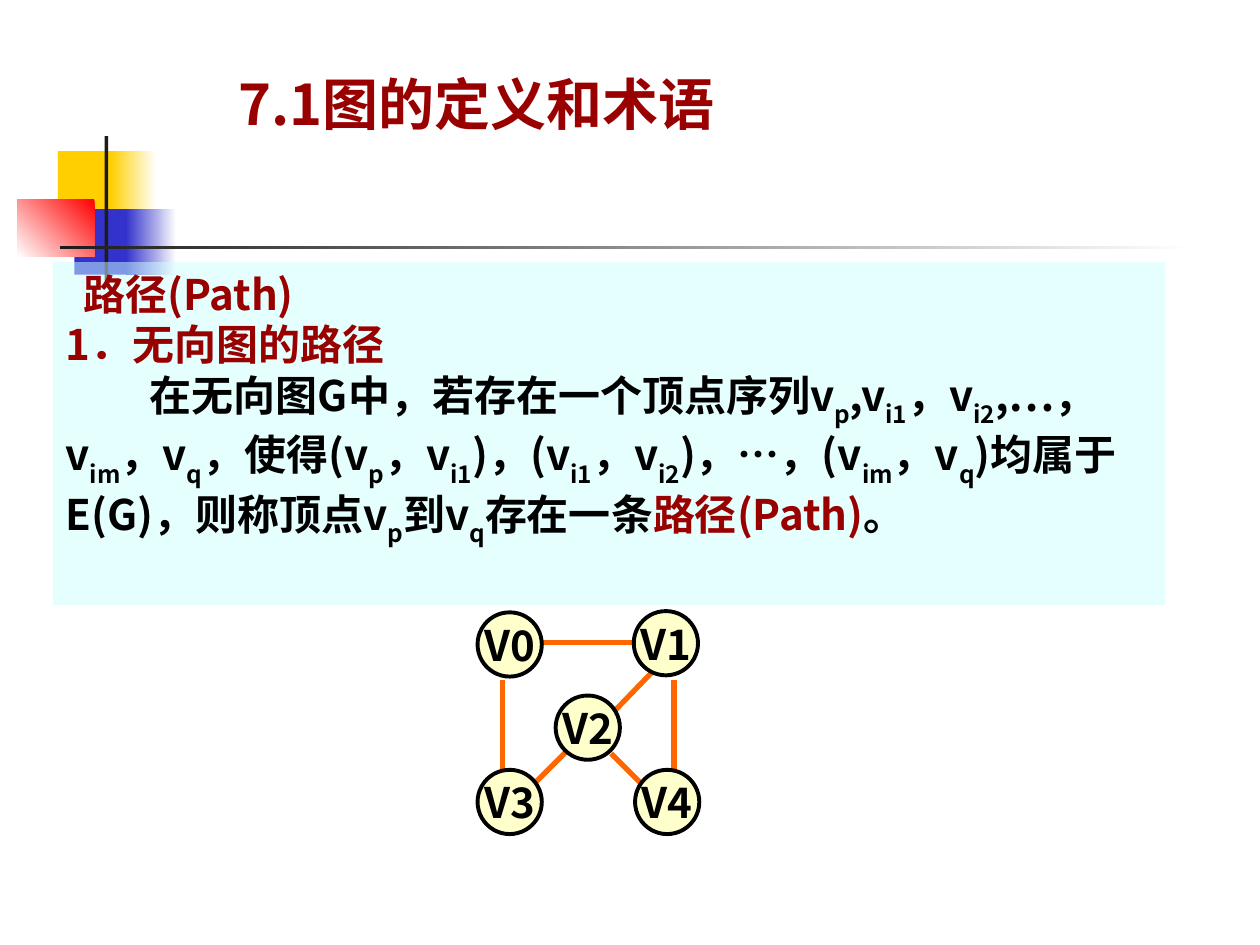
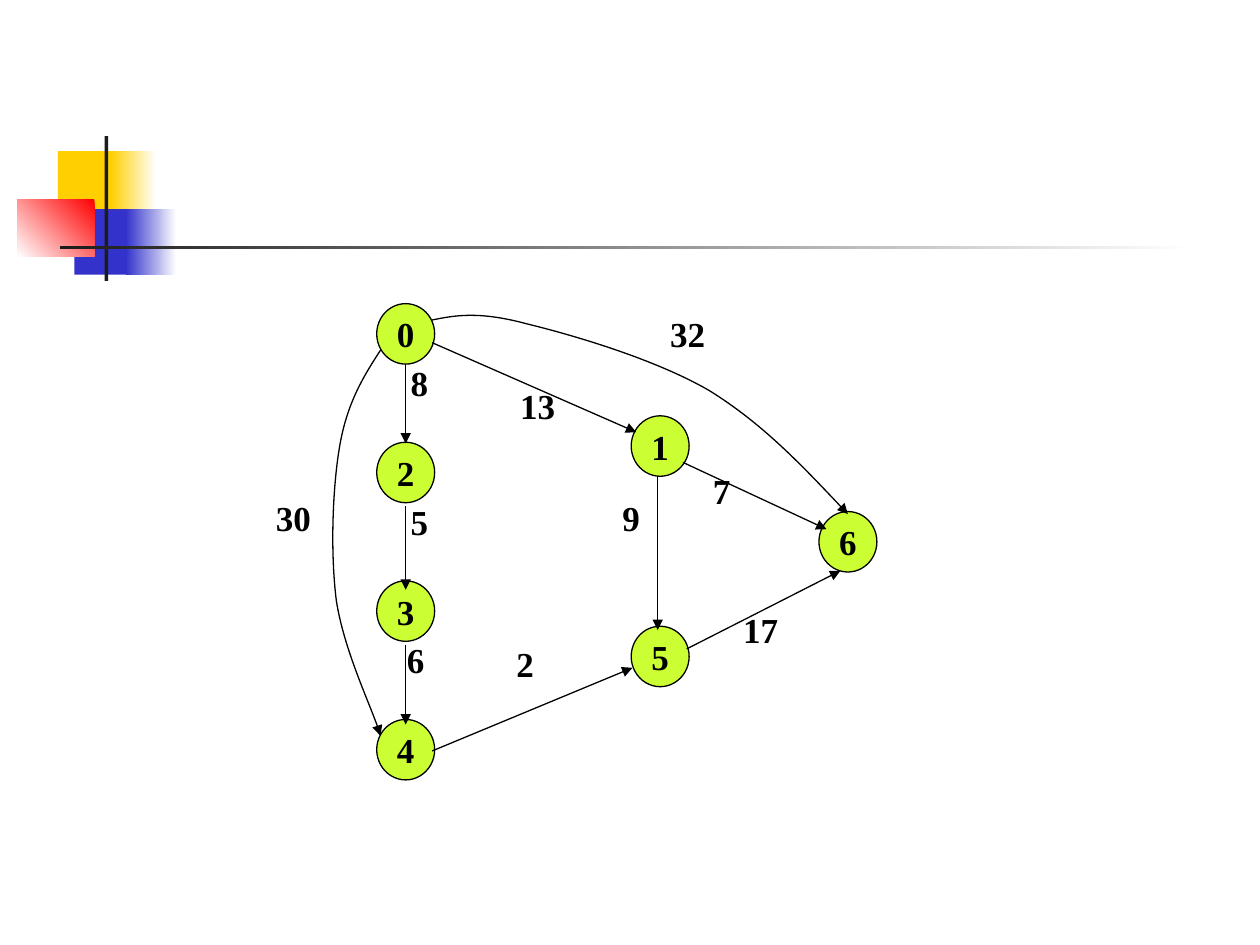
"""Two slides on graphs: paths in an undirected graph, and a weighted directed graph."""
from dataclasses import dataclass

from lxml import etree
from pptx import Presentation
from pptx import util as u
from pptx.dml.color import RGBColor
from pptx.enum import shapes, text
from pptx.oxml import ns

PX = 9144


@dataclass(frozen=True)
class Theme:
    """Colours, fonts and type sizes."""
    white: str = "FFFFFF"
    ink: str = "000000"
    accent: str = "990000"
    yellow: str = "FFCF01"
    blue: str = "3333CC"
    red: str = "FF0000"
    rule: str = "1C1C1C"
    panel: str = "CCFFFF"
    vertex: str = "FFFFCC"
    edge: str = "FF6600"
    node: str = "CCFF33"
    sans: str = "Noto Sans CJK SC"
    serif: str = "Times New Roman"
    title_size: int = 32
    body_size: int = 24
    weight_size: int = 20


T = Theme()

ORNAMENT = [
    ((46, 120, 48, 52), (T.yellow,), 0),
    ((88, 120, 36, 52), (T.white, T.yellow), 180),
    ((59, 166, 46, 52), (T.blue,), 0),
    ((100, 166, 40, 52), (T.white, T.blue), 180),
    ((14, 158, 61, 46), (T.red, T.white), 225),
    ((83, 108, 3, 115), (T.rule,), 0),
    ((48, 195, 900, 3), (T.white, T.rule), 180),
]

TITLE = "7.1图的定义和术语"
TITLE_BOX = (179, 50, 400, 64)
PANEL_BOX = (42, 208, 883, 272)
SUBSCRIPT_MARK = "|"
DEFINITION = [
    (14, [("路径(Path)", T.accent)]),
    (0, [("1．无向图的路径", T.accent)]),
    (67, [
        ("在无向图G中，若存在一个顶点序列v|p|,v|i1|，v|i2|,…，v|im|，v|q|，"
         "使得(v|p|，v|i1|)，(v|i1|，v|i2|)，…，(v|im|，v|q|)"
         "均属于E(G)，则称顶点v|p|到v|q|存在一条", T.ink),
        ("路径(Path)", T.accent),
        ("。", T.ink),
    ]),
]

VERTEX_SIZE = (51, 51)
VERTICES = {"V0": (379, 486), "V4": (504, 611), "V3": (379, 611),
            "V1": (503, 485), "V2": (441, 552)}
UNDIRECTED_EDGES = [
    ((399, 540), (399, 612)), ((429, 510), (511, 510)), ((535, 540), (535, 612)),
    ((452, 594), (422, 624)), ((517, 534), (488, 564)), ((485, 598), (511, 624)),
]

NODE_SIZE = (46, 48)
NODES = {"5": (501, 497), "1": (501, 330), "6": (650, 406)}
NODES.update({name: (299, 241 + 110 * row) for row, name in enumerate("0234")})
DIRECTED_EDGES = [
    ((322, 289), (322, 352)), ((322, 402), (322, 468)), ((322, 512), (322, 575)),
    ((343, 272), (505, 343)), ((542, 367), (656, 420)), ((343, 596), (502, 530)),
    ((545, 515), (667, 453)), ((522, 378), (522, 500)),
]
CURVED_EDGES = [
    [(302, 278), (289, 298), (276, 319), (270, 352), (264, 385), (262, 438),
     (267, 477), (273, 515), (297, 566), (302, 584)],
    [(343, 254), (362, 250), (381, 247), (418, 257), (455, 266), (520, 285),
     (563, 310), (605, 336), (639, 372), (673, 408)],
]
WEIGHT_SIZE = (72, 44)
WEIGHTS = [("8", (316, 282)), ("5", (316, 392)), ("6", (313, 502)), ("2", (400, 505)),
           ("30", (209, 389)), ("13", (403, 300)), ("7", (556, 368)),
           ("17", (580, 478)), ("32", (522, 243)), ("9", (484, 389))]


def emu(lengths):
    return [length * PX for length in lengths]


def place(shape, box):
    shape.left, shape.top, shape.width, shape.height = emu(box)


def paint(fill, color):
    fill.solid()
    fill.fore_color.rgb = RGBColor.from_string(color)


def add_xml(parent, tag, **attributes):
    return etree.SubElement(parent, ns.qn(tag), attributes)


def add_run(paragraph, words, size, font, color=T.ink, subscript=False):
    run = paragraph.add_run()
    run.text = words
    run.font.size = u.Pt(size)
    run.font.bold = True
    run.font.name = font
    run.font.color.rgb = RGBColor.from_string(color)
    properties = run._r.get_or_add_rPr()
    add_xml(properties, "a:ea", typeface=font)
    if subscript:
        properties.set("baseline", "-30000")


def add_solid(slide, kind, box):
    shape = slide.shapes.add_shape(kind, *emu(box))
    shape.shadow.inherit = False
    shape.line.fill.background()
    return shape


def stroke(shape, color, width, arrow=False):
    paint(shape.line.fill, color)
    shape.line.width = u.Pt(width)
    if arrow:
        add_xml(shape.element.xpath(".//a:ln")[0], "a:tailEnd", type="triangle")


def add_circle(slide, label, corner, size, color, width, type_size, font):
    circle = add_solid(slide, shapes.MSO_SHAPE.OVAL, corner + size)
    paint(circle.fill, color)
    stroke(circle, T.ink, width)
    frame = circle.text_frame
    frame.margin_left = frame.margin_right = frame.margin_top = frame.margin_bottom = 0
    frame.word_wrap = False
    frame.vertical_anchor = text.MSO_ANCHOR.MIDDLE
    frame.paragraphs[0].alignment = text.PP_ALIGN.CENTER
    add_run(frame.paragraphs[0], label, type_size, font)


def add_edge(slide, start, end, color, width, arrow=False):
    edge = slide.shapes.add_connector(shapes.MSO_CONNECTOR.STRAIGHT, *emu(start + end))
    stroke(edge, color, width, arrow)
    add_xml(edge.element.xpath("./p:spPr")[0], "a:effectLst")


def add_curve(slide, points):
    builder = slide.shapes.build_freeform(*points[0], scale=PX)
    curve = builder.add_line_segments(points[1:], close=False).convert_to_shape()
    curve.shadow.inherit = False
    curve.fill.background()
    stroke(curve, T.ink, 0.75, arrow=True)
    outline = curve.element.xpath(".//a:path")[0]
    segments = outline.xpath("./a:lnTo")
    for first in range(0, len(segments), 3):
        bezier = add_xml(outline, "a:cubicBezTo")
        for segment in segments[first:first + 3]:
            bezier.append(segment[0])
            outline.remove(segment)


def move_ornament_to_master(slide, master):
    for number, (box, colors, angle) in enumerate(ORNAMENT, 101):
        block = add_solid(slide, shapes.MSO_SHAPE.RECTANGLE, box)
        if len(colors) == 1:
            paint(block.fill, colors[0])
        else:
            block.fill.gradient()
            block.fill.gradient_angle = angle
            for position, (stop, color) in enumerate(zip(block.fill.gradient_stops, colors)):
                stop.color.rgb = RGBColor.from_string(color)
                stop.position = position
        block.element.xpath(".//p:cNvPr")[0].set("id", str(number))
        master.shapes.element.append(block.element)


def open_frame(placeholder, box):
    place(placeholder, box)
    frame = placeholder.text_frame
    frame.auto_size = text.MSO_AUTO_SIZE.NONE
    frame.word_wrap = True
    frame.vertical_anchor = text.MSO_ANCHOR.TOP
    return frame


def fill_title(slide):
    heading = open_frame(slide.shapes.title, TITLE_BOX).paragraphs[0]
    heading.alignment = text.PP_ALIGN.LEFT
    add_run(heading, TITLE, T.title_size, T.sans, T.accent)


def fill_definition(slide):
    panel = slide.placeholders[1]
    paint(panel.fill, T.panel)
    add_xml(panel.element.xpath("./p:spPr/a:solidFill/a:srgbClr")[0], "a:alpha", val="50000")
    frame = open_frame(panel, PANEL_BOX)
    for index, (indent, parts) in enumerate(DEFINITION):
        paragraph = frame.add_paragraph() if index else frame.paragraphs[0]
        properties = paragraph._p.get_or_add_pPr()
        properties.set("marL", "0")
        properties.set("indent", str(indent * PX))
        add_xml(properties, "a:buNone")
        paragraph.space_before = u.Pt(0)
        for words, color in parts:
            for position, piece in enumerate(words.split(SUBSCRIPT_MARK)):
                add_run(paragraph, piece, T.body_size, T.sans, color, position % 2 == 1)


def draw_undirected_graph(slide):
    for start, end in UNDIRECTED_EDGES:
        add_edge(slide, start, end, T.edge, 3)
    for label, corner in VERTICES.items():
        add_circle(slide, label, corner, VERTEX_SIZE, T.vertex, 2.25, T.body_size, T.sans)


def draw_weighted_graph(slide):
    for label, corner in NODES.items():
        add_circle(slide, label, corner, NODE_SIZE, T.node, 0.75, T.weight_size, T.serif)
    for start, end in DIRECTED_EDGES:
        add_edge(slide, start, end, T.ink, 0.75, arrow=True)
    for points in CURVED_EDGES:
        add_curve(slide, points)
    for weight, corner in WEIGHTS:
        frame = slide.shapes.add_textbox(*emu(corner + WEIGHT_SIZE)).text_frame
        frame.word_wrap = True
        add_run(frame.paragraphs[0], weight, T.weight_size, T.serif)


def main():
    deck = Presentation()
    deck.slide_width, deck.slide_height = emu((1000, 750))
    path_slide = deck.slides.add_slide(deck.slide_layouts[1])
    move_ornament_to_master(path_slide, deck.slide_master)
    fill_definition(path_slide)
    fill_title(path_slide)
    draw_undirected_graph(path_slide)
    weighted_slide = deck.slides.add_slide(deck.slide_layouts[6])
    draw_weighted_graph(weighted_slide)
    deck.save("out.pptx")


if __name__ == "__main__":
    main()
